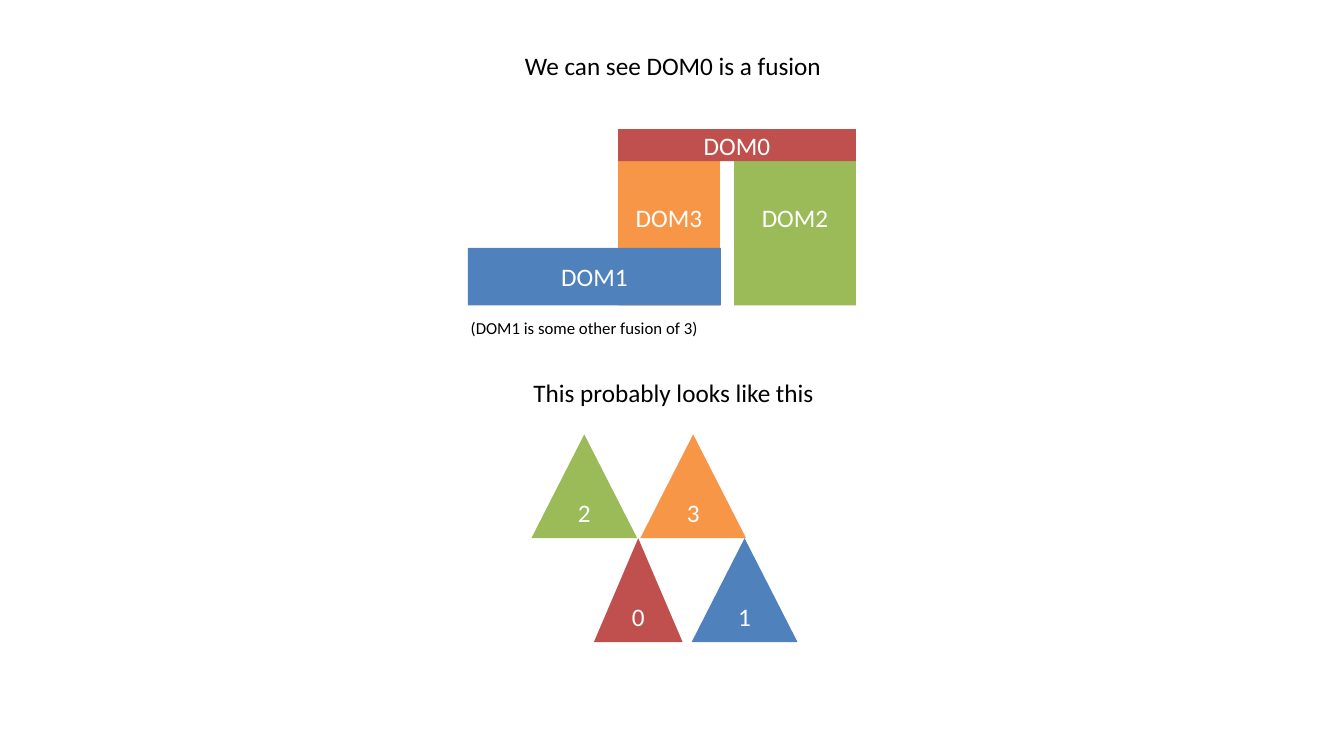
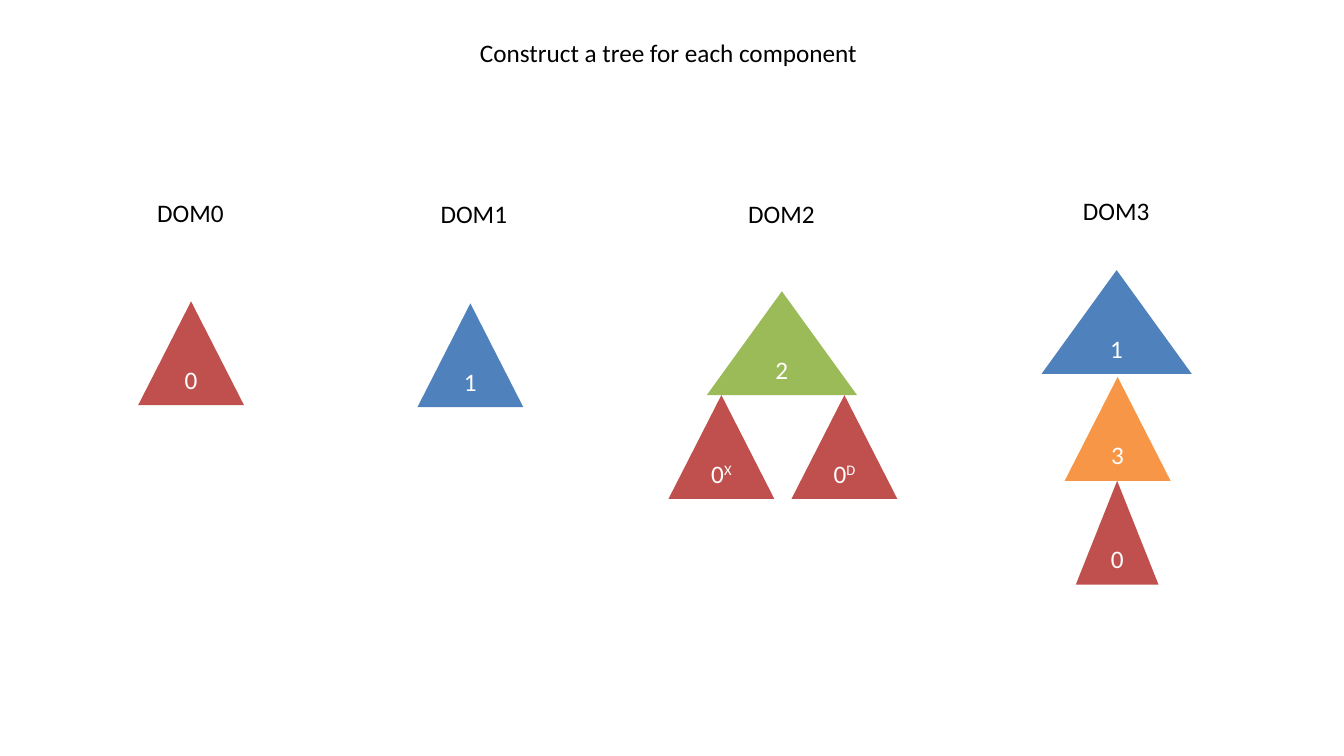
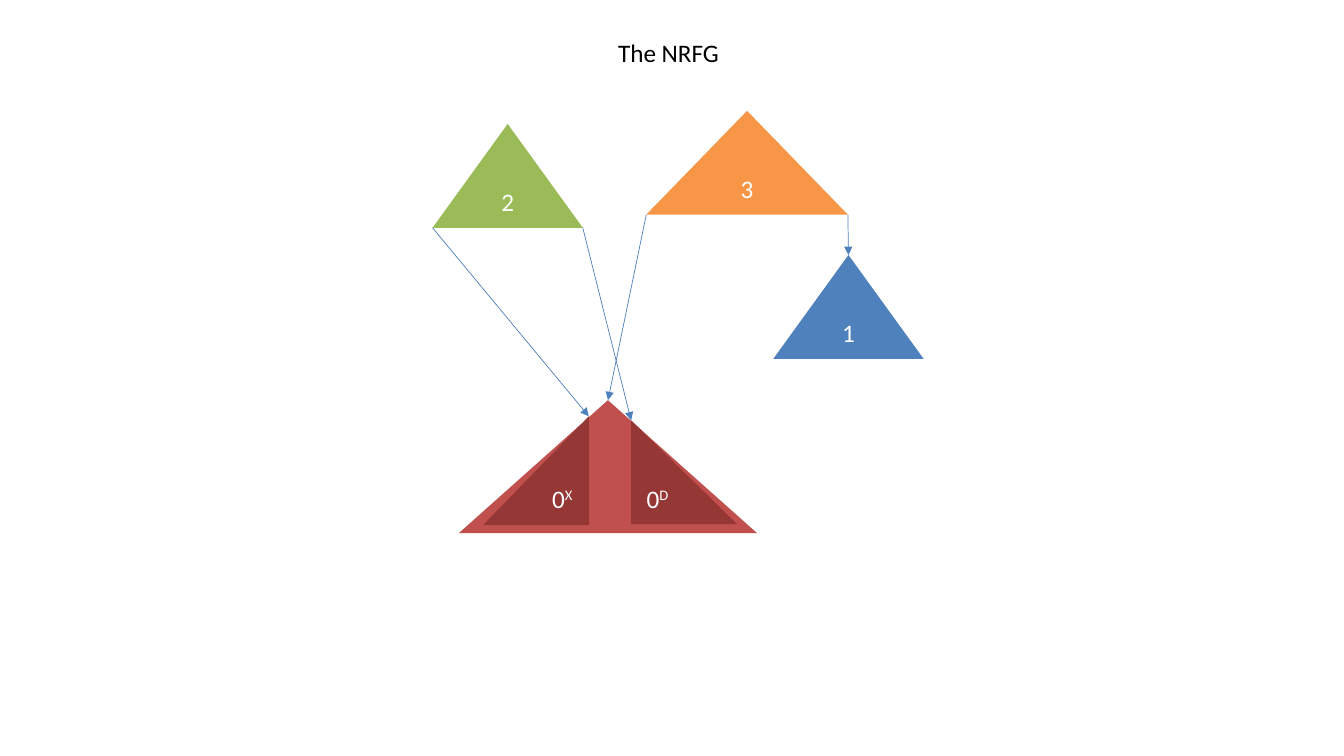
from lxml import etree
from pptx import Presentation
from pptx.dml.color import RGBColor
from pptx.enum.shapes import MSO_CONNECTOR, MSO_SHAPE
from pptx.enum.text import MSO_ANCHOR, PP_ALIGN
from pptx.oxml.ns import qn
from pptx.util import Inches, Pt

RECT = MSO_SHAPE.RECTANGLE
TRI = MSO_SHAPE.ISOSCELES_TRIANGLE
LINE = MSO_CONNECTOR.STRAIGHT
TOP, MID = MSO_ANCHOR.TOP, MSO_ANCHOR.MIDDLE
CENTER = PP_ALIGN.CENTER
FONT = "Calibri"
RED, BLUE, GREEN, ORANGE = "C0504D", "4F81BD", "9BBB59", "F79646"
DARK, WHITE, BLACK = "953735", "FFFFFF", "000000"
TALL = 1.03
SLIM, WIDE = 1.05, 1.49
HEAD = (3.82, 0.32, 5.62, 0.4)


def ink(code):
    return RGBColor.from_string(code)


def put(page, text, box, kind=None, fill=None, size=18, color=WHITE,
        sup="", anchor=MID, wrap=True, adj=None):
    spot = [Inches(v) for v in box]
    if kind is None:
        shape = page.shapes.add_textbox(*spot)
    else:
        shape = page.shapes.add_shape(kind, *spot)
        shape.shadow.inherit = False
        shape.fill.solid()
        shape.fill.fore_color.rgb = ink(fill)
        shape.line.fill.background()
    if adj is not None:
        shape.adjustments[0] = adj
    frame = shape.text_frame
    frame.word_wrap = wrap
    frame.vertical_anchor = anchor
    para = frame.paragraphs[0]
    para.alignment = CENTER
    for part in filter(None, (text, sup)):
        run = para.add_run()
        run.text = part
        run.font.name = FONT
        run.font.size = Pt(size)
        run.font.color.rgb = ink(color)
        if part == sup:
            run.font._element.set("baseline", "30000")
    return shape


deck = Presentation()
deck.slide_width, deck.slide_height = Inches(13.33), Inches(7.5)
blank = deck.slide_layouts[6]
fusion, trees, graph = [deck.slides.add_slide(blank) for _ in range(3)]

for text, box, fill in [
    ("DOM2", (7.28, 1.28, 1.21, 1.75), GREEN),
    ("DOM3", (6.13, 1.28, 1.01, 1.75), ORANGE),
    ("DOM0", (6.13, 1.28, 2.36, 0.32), RED),
    ("DOM1", (4.64, 2.46, 2.51, 0.57), BLUE),
]:
    put(fusion, text, box, RECT, fill)

for page, text, box, size in [
    (fusion, "We can see DOM0 is a fusion", (4.36, 0.45, 4.63, 0.4), 18),
    (fusion, "This probably looks like this", (3.87, 3.69, 5.62, 0.4), 18),
    (fusion, "(DOM1 is some other fusion of 3)", (3.48, 3.1, 4.63, 0.3), 12),
    (trees, "Construct a tree for each component", HEAD, 18),
    (graph, "The NRFG", HEAD, 18),
]:
    put(page, text, box, size=size, color=BLACK, anchor=TOP)

for text, left, top, wide, fill in [
    ("2", 5.27, 4.31, SLIM, GREEN),
    ("0", 5.89, 4.31 + TALL, 0.88, RED),
    ("3", 6.35, 4.31, SLIM, ORANGE),
    ("1", 6.86, 4.31 + TALL, SLIM, BLUE),
]:
    put(fusion, text, (left, top, wide, TALL), TRI, fill)

for index, (left, top) in enumerate(
        [(1.46, 1.95), (4.27, 1.96), (7.32, 1.96), (10.64, 1.93)]):
    put(trees, f"DOM{index}", (left, top, 0.86, 0.32), color=BLACK, wrap=False)

for text, sup, left, top, wide, fill in [
    ("0", "", 1.37, 2.99, SLIM, RED),
    ("1", "", 4.14, 3.01, SLIM, BLUE),
    ("2", "", 7.01, 2.89, WIDE, GREEN),
    ("0", "X", 6.63, 2.89 + TALL, SLIM, RED),
    ("0", "D", 7.85, 2.89 + TALL, SLIM, RED),
    ("1", "", 10.33, 2.68, WIDE, BLUE),
    ("3", "", 10.56, 3.74, SLIM, ORANGE),
    ("0", "", 10.67, 3.74 + TALL, 0.82, RED),
]:
    put(trees, text, (left, top, wide, TALL), TRI, fill, sup=sup)

base = put(graph, "", (4.55, 3.97, 2.96, 1.32), TRI, RED)
two = put(graph, "2", (4.29, 1.23, WIDE, TALL), TRI, GREEN)
cross = put(graph, "0", (4.79, 4.13, SLIM, 1.08), TRI, DARK, sup="X", adj=1)
down = put(graph, "0", (6.26, 4.17, SLIM, TALL), TRI, DARK, sup="D", adj=0)
one = put(graph, "1", (7.67, 2.53, WIDE, TALL), TRI, BLUE)
three = put(graph, "3", (6.41, 1.1, 2, TALL), TRI, ORANGE)

for start, side, end in [
    (two, 0, cross), (two, 1, down), (three, 0, base), (three, 1, one),
]:
    peak = end.left + int(end.width * end.adjustments[0])
    link = graph.shapes.add_connector(
        LINE, start.left + side * start.width, start.top + start.height,
        peak, end.top)
    link.line.color.rgb = ink(BLUE)
    link.line.width = Pt(0.5)
    etree.SubElement(link.line._get_or_add_ln(), qn("a:tailEnd"), type="triangle")
    etree.SubElement(link._element.spPr, qn("a:effectLst"))

deck.save("out.pptx")
